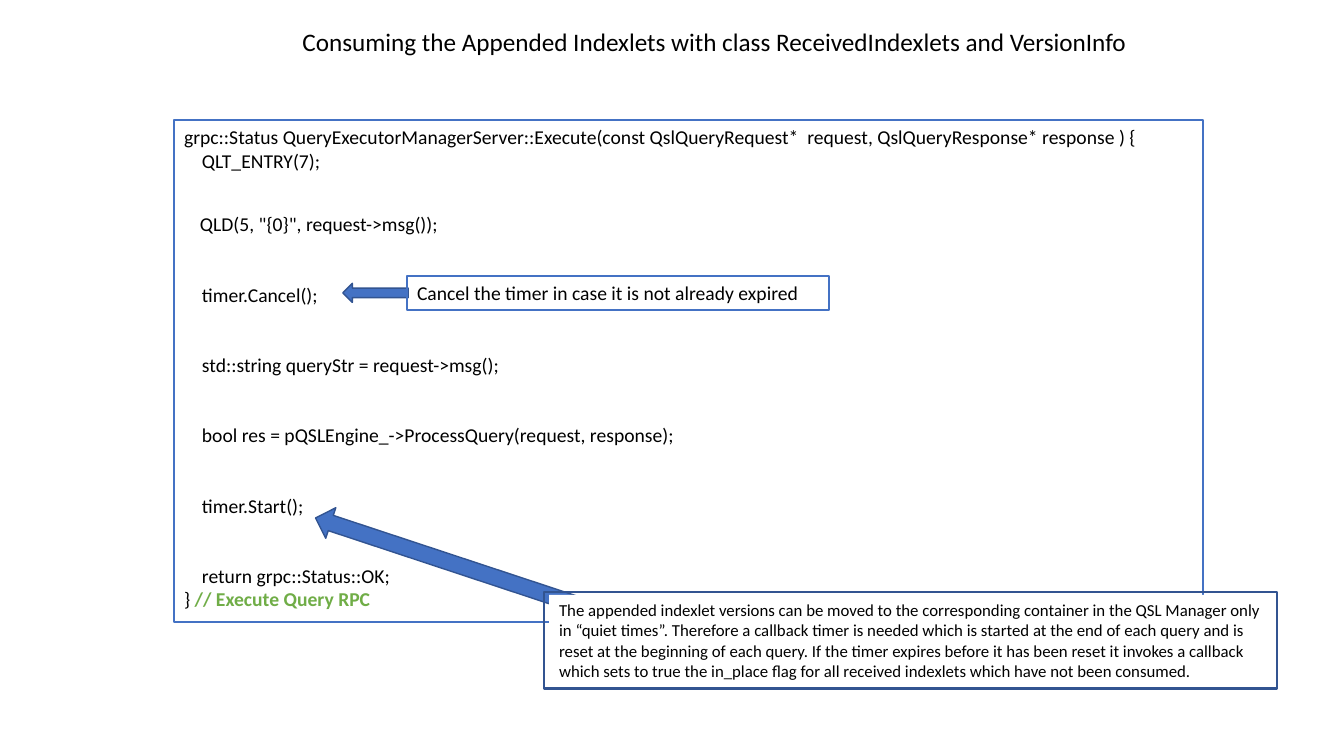
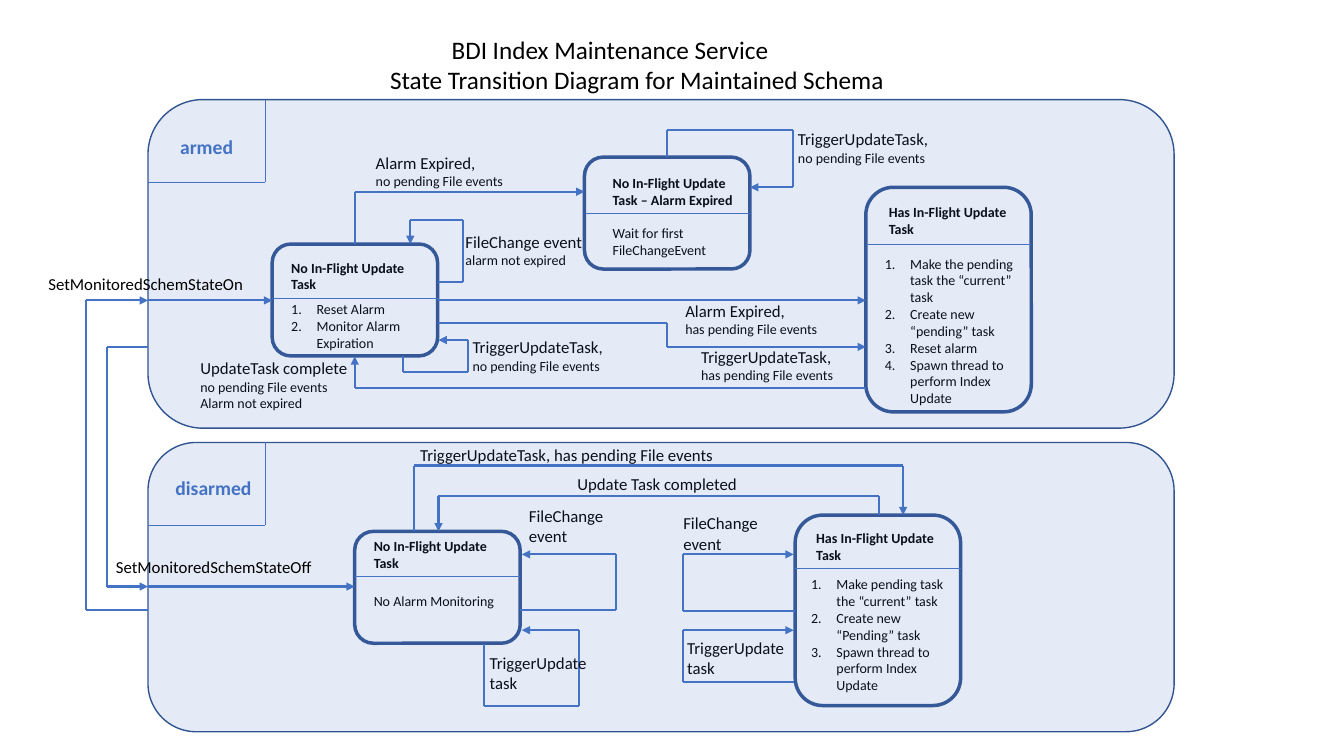
"""Build two slides: a query server code walk-through and a state transition diagram."""
from dataclasses import dataclass
from itertools import pairwise
from typing import Any

from lxml.etree import SubElement
from pptx import Presentation
from pptx.dml.color import RGBColor
from pptx.enum.shapes import MSO_CONNECTOR as Link, MSO_SHAPE as Kind
from pptx.enum.text import MSO_ANCHOR as Anchor, MSO_AUTO_SIZE as AutoSize, PP_ALIGN as Align
from pptx.oxml.ns import qn
from pptx.util import Cm, Pt

COLORS = {"blue": "4472C4", "navy": "325491", "black": "000000", "green": "70AD47", "white": "FFFFFF"}
FRAME_FORMAT = {"word_wrap": True, "auto_size": AutoSize.NONE, "vertical_anchor": Anchor.TOP,
                "margin_left": Cm(0.25), "margin_right": Cm(0.25),
                "margin_top": Cm(0.13), "margin_bottom": Cm(0.13)}
THIN, MEDIUM, ROUTE, THICK = 0.5, 1, 1.5, 2.5
Point = tuple[float, float]


@dataclass(frozen=True)
class Box:
    left: float
    top: float
    width: float
    height: float

    def lengths(self) -> list[int]:
        return [Cm(value) for value in (self.left, self.top, self.width, self.height)]


@dataclass(frozen=True)
class Span:
    text: str
    size: float = 10
    color: str = "black"
    bold: bool = False


@dataclass(frozen=True)
class Line:
    spans: tuple[Span, ...]
    indent: float = 0
    before: float = 0
    numbered: bool = False


@dataclass(frozen=True)
class Look:
    kind: Any = Kind.RECTANGLE
    fill: str = ""
    outline: str = ""
    weight: float = ROUTE
    alpha: int = 100
    rotation: float = 0


@dataclass(frozen=True)
class Label:
    left: float
    top: float
    width: float
    lines: tuple[Span, ...]


@dataclass(frozen=True)
class State:
    box: Box
    divider: float
    head: Point
    title: str
    body: Box
    items: tuple[str, ...]
    numbered: bool = True


@dataclass(frozen=True)
class Panel:
    box: Box
    label: Label


def apply_format(target: Any, values: dict[str, Any]) -> None:
    for name, value in values.items():
        setattr(target, name, value)


def rgb(name: str) -> RGBColor:
    return RGBColor.from_string(COLORS[name])


def plain(text: str, size: float, indent: float = 0, before: float = 0) -> Line:
    return Line((Span(text, size),), indent, before)


def write(shape: Any, lines: list[Line]) -> None:
    frame = shape.text_frame
    apply_format(frame, FRAME_FORMAT)
    for index, line in enumerate(lines):
        para = frame.add_paragraph() if index else frame.paragraphs[0]
        apply_format(para, {"alignment": Align.LEFT, "line_spacing": 1.0, "space_before": Pt(line.before)})
        props = para._p.get_or_add_pPr()
        props.set("marL", str(int(Cm(line.indent))))
        props.set("indent", str(-int(Cm(line.indent)) if line.numbered else 0))
        if line.numbered:
            SubElement(props, qn("a:buAutoNum")).set("type", "arabicPeriod")
        for part in line.spans:
            span = para.add_run()
            span.text = part.text
            apply_format(span.font, {"name": "Calibri", "size": Pt(part.size), "bold": part.bold})
            span.font.color.rgb = rgb(part.color)


def add_page(deck: Any, box: Box, lines: list[Line]) -> Any:
    page = deck.slides.add_slide(deck.slide_layouts[5])
    title = page.shapes.title
    apply_format(title, dict(zip(("left", "top", "width", "height"), box.lengths())))
    write(title, lines)
    return page


def add_text(page: Any, box: Box, lines: list[Line]) -> None:
    write(page.shapes.add_textbox(*box.lengths()), lines)


def add_label(page: Any, label: Label) -> None:
    height = 0.25 + 0.043 * sum(span.size for span in label.lines)
    add_text(page, Box(label.left, label.top, label.width, height), [Line((span,)) for span in label.lines])


def add_figure(page: Any, box: Box, look: Look, lines: list[Line] | None = None) -> None:
    shape = page.shapes.add_shape(look.kind, *box.lengths())
    shape.rotation = look.rotation
    if look.fill:
        shape.fill.solid()
        shape.fill.fore_color.rgb = rgb(look.fill)
        if look.alpha < 100:
            tint = shape._element.spPr.find(qn("a:solidFill"))[0]
            SubElement(tint, qn("a:alpha")).set("val", str(look.alpha * 1000))
    else:
        shape.fill.background()
    if look.outline:
        shape.line.color.rgb = rgb(look.outline)
        shape.line.width = Pt(look.weight)
    else:
        shape.line.fill.background()
    shape.shadow.inherit = False
    if lines:
        write(shape, lines)


def add_route(page: Any, points: list[Point], weight: float = ROUTE, arrow: bool = True) -> None:
    for start, end in pairwise(points):
        link = page.shapes.add_connector(Link.STRAIGHT, *(Cm(value) for value in (*start, *end)))
        link.line.color.rgb = rgb("blue")
        link.line.width = Pt(weight)
        props = link._element.spPr
        if arrow and end == points[-1]:
            SubElement(props.find(qn("a:ln")), qn("a:tailEnd")).set("type", "triangle")
        SubElement(props, qn("a:effectLst"))


def add_state(page: Any, state: State) -> None:
    box = state.box
    add_figure(page, box, Look(Kind.ROUNDED_RECTANGLE, outline="navy", weight=THICK))
    add_route(page, [(box.left, state.divider), (box.left + box.width, state.divider)], THIN, False)
    add_text(page, Box(*state.head, 3.73, 1.12), [Line((Span(state.title, bold=True),))])
    indent = 0.64 if state.numbered else 0
    add_text(page, state.body, [Line((Span(item),), indent, numbered=state.numbered) for item in state.items])


def add_panel(page: Any, panel: Panel) -> None:
    box = panel.box
    add_figure(page, box, Look(Kind.ROUNDED_RECTANGLE, "blue", "navy", MEDIUM, alpha=14))
    right, bottom = box.left + 2.95, box.top + 2.08
    add_route(page, [(box.left, bottom), (right, bottom), (right, box.top)], THIN, False)
    add_label(page, panel.label)


def event(text: str, *details: str, size: float = 10) -> tuple[Span, ...]:
    return (Span(text, 12), *(Span(detail, size) for detail in details))


CODE = [
    plain("grpc::Status QueryExecutorManagerServer::Execute(const QslQueryRequest*\u00a0 request, "
          "QslQueryResponse* response ) {", 14),
    plain("QLT_ENTRY(7);", 14, 0.45),
    plain('QLD(5, "{0}", request->msg());', 14, 0.4, 28.8),
    *(plain(text, 14, 0.45, 33.4) for text in (
        "timer.Cancel();", "std::string queryStr = request->msg();",
        "bool res = pQSLEngine_->ProcessQuery(request, response);",
        "timer.Start();", "return grpc::Status::OK;")),
    Line((Span("} ", 14), Span("// Execute Query RPC", 14, "green", True))),
]
TIMER_NOTE = (
    "The appended indexlet versions can be moved to the corresponding container in the QSL Manager only in "
    "“quiet times”. Therefore a callback timer is needed which is started at the end of each query and is reset "
    "at the beginning of each query. If the timer expires before it has been reset it invokes a callback which "
    "sets to true the in_place flag for all received indexlets which have not been consumed.")

IDLE, BUSY = "No In-Flight Update Task", "Has In-Flight Update Task"
STATES = [
    State(Box(6.86, 6.15, 4.17, 2.82), 7.52, (7.09, 6.4), IDLE, Box(7.09, 7.44, 3.73, 1.55),
          ("Reset Alarm", "Monitor Alarm Expiration")),
    State(Box(14.73, 3.96, 4.17, 2.82), 5.38, (15.19, 4.27), f"{IDLE} – Alarm Expired",
          Box(15.19, 5.54, 3.73, 1.12), ("Wait for first", "FileChangeEvent"), False),
    State(Box(21.82, 4.72, 4.17, 5.66), 6.15, (22.15, 5), BUSY, Box(22.05, 6.3, 3.73, 4.11),
          ("Make the pending task the “current” task", "Create new “pending” task", "Reset alarm",
           "Spawn thread to perform Index Update")),
    State(Box(8.94, 13.39, 4.17, 2.82), 14.53, (9.17, 13.41), IDLE, Box(9.17, 14.81, 3.73, 0.69),
          ("No Alarm Monitoring",), False),
    State(Box(20.04, 12.98, 4.17, 4.8), 14.33, (20.32, 13.21), BUSY, Box(20.19, 14.38, 4.04, 3.25),
          ("Make pending task the “current” task", "Create new “Pending” task",
           "Spawn thread to perform Index Update")),
]
STATE_ROUTES = [
    [(22.15, 12.98), (22.15, 12.5), (11.05, 12.5), (11.05, 13.39)],
    [(20.04, 15.39), (17.22, 15.39), (17.22, 13.97), (20, 13.97)],
    [(13.11, 15.37), (15.52, 15.37), (15.52, 13.97), (13.15, 13.97)],
    [(20, 17.18), (17.22, 17.18), (17.22, 15.88), (20, 15.88)],
    [(12.19, 16.22), (12.19, 17.78), (14.6, 17.78), (14.6, 15.88), (13.15, 15.88)],
    [(10.44, 13.39), (10.44, 11.73), (22.76, 11.73), (22.76, 12.98)],
    [(16.81, 3.96), (16.81, 3.28), (19.99, 3.28), (19.99, 4.72), (18.9, 4.72)],
    [(11.05, 7.1), (11.67, 7.1), (11.67, 5.54), (10.34, 5.54), (10.34, 6.15)],
    [(8.94, 6.15), (8.94, 4.83), (14.73, 4.83)],
    [(10.16, 8.98), (10.16, 9.37), (11.8, 9.37), (11.8, 8.57), (11.05, 8.57)],
    [(11.05, 7.57), (21.82, 7.57)],
    [(11.05, 8.15), (16.81, 8.15), (16.81, 8.74), (21.82, 8.74)],
    [(21.82, 9.77), (8.94, 9.77), (8.94, 8.98)],
]
PANEL_ROUTES = [
    [(3.73, 8.74), (2.7, 8.74), (2.7, 14.78), (3.73, 14.78)],
    [(3.73, 15.37), (2.16, 15.37), (2.16, 7.57), (3.73, 7.57)],
    [(3.73, 14.78), (8.94, 14.78)],
    [(3.73, 7.57), (6.86, 7.57)],
]
PENDING, NOTHING_PENDING = "has pending File events", "no pending File events"
FILE_CHANGE = event("FileChange", "event", size=12)
TRIGGER = event("TriggerUpdate", "task", size=12)
TRIGGER_IDLE = event("TriggerUpdateTask,", NOTHING_PENDING)
STATE_LABELS = [
    Label(14.3, 11.81, 4.6, event("Update Task completed")),
    Label(16.97, 12.8, 2.51, FILE_CHANGE),
    Label(13.08, 12.62, 2.51, FILE_CHANGE),
    Label(12.09, 16.31, 3.07, TRIGGER),
    Label(17.07, 15.93, 3.07, TRIGGER),
    Label(10.34, 11.07, 7.98, event(f"TriggerUpdateTask, {PENDING}")),
    Label(17.42, 8.61, 3.94, event("TriggerUpdateTask,", PENDING)),
    Label(11.48, 5.71, 3.58, event("FileChange event", "alarm not expired")),
    Label(11.66, 8.36, 3.94, TRIGGER_IDLE),
    Label(17.02, 7.44, 3.89, event("Alarm Expired,", PENDING)),
    Label(9.22, 3.71, 3.76, event("Alarm Expired,", NOTHING_PENDING)),
    Label(19.86, 3.12, 3.94, TRIGGER_IDLE),
    Label(4.8, 8.89, 4.47, event("UpdateTask complete", NOTHING_PENDING, "Alarm not expired")),
]
PANEL_LABELS = [
    Label(0.97, 6.78, 5.82, event("SetMonitoredSchemStateOn")),
    Label(2.67, 13.89, 5.82, event("SetMonitoredSchemStateOff")),
]
PANELS = [
    Panel(Box(3.73, 2.51, 25.86, 8.28), Label(4.29, 3.28, 2.06, (Span("armed", 14, "blue", True),))),
    Panel(Box(3.73, 11.15, 25.86, 7.29), Label(4.17, 11.86, 2.46, (Span("disarmed", 14, "blue", True),))),
]


def build_code_page(deck: Any) -> None:
    page = add_page(deck, Box(7.37, 0.53, 21.54, 1.02), [
        plain("Consuming the Appended Indexlets with class ReceivedIndexlets and VersionInfo", 18)])
    framed = Look(outline="blue")
    add_figure(page, Box(4.39, 3.02, 25.93, 12.65), framed, CODE)
    add_figure(page, Box(7.77, 13.77, 7.16, 0.81), Look(Kind.RIGHT_ARROW, "blue", "navy", MEDIUM, rotation=198.3))
    add_figure(page, Box(8.64, 7.14, 1.65, 0.48), Look(Kind.LEFT_ARROW, "blue", "navy", MEDIUM))
    add_figure(page, Box(10.26, 6.96, 10.64, 0.86), framed,
               [plain("Cancel the timer in case it is not already expired", 14)])
    add_figure(page, Box(13.72, 14.91, 18.47, 2.44), Look(outline="navy"))
    add_figure(page, Box(13.84, 14.99, 18.21, 2.31), Look(fill="white"), [plain(TIMER_NOTE, 12)])


def build_state_page(deck: Any) -> None:
    page = add_page(deck, Box(9.58, 0.74, 14.2, 1.78), [
        plain("BDI Index Maintenance Service", 18, 1.55),
        plain("State Transition Diagram for Maintained Schema", 18)])
    for draw, items in ((add_state, STATES), (add_route, STATE_ROUTES), (add_label, STATE_LABELS),
                        (add_panel, PANELS), (add_route, PANEL_ROUTES), (add_label, PANEL_LABELS)):
        for item in items:
            draw(page, item)


deck = Presentation()
apply_format(deck, {"slide_width": Cm(33.87), "slide_height": Cm(19.05)})
build_code_page(deck)
build_state_page(deck)
deck.save("out.pptx")
